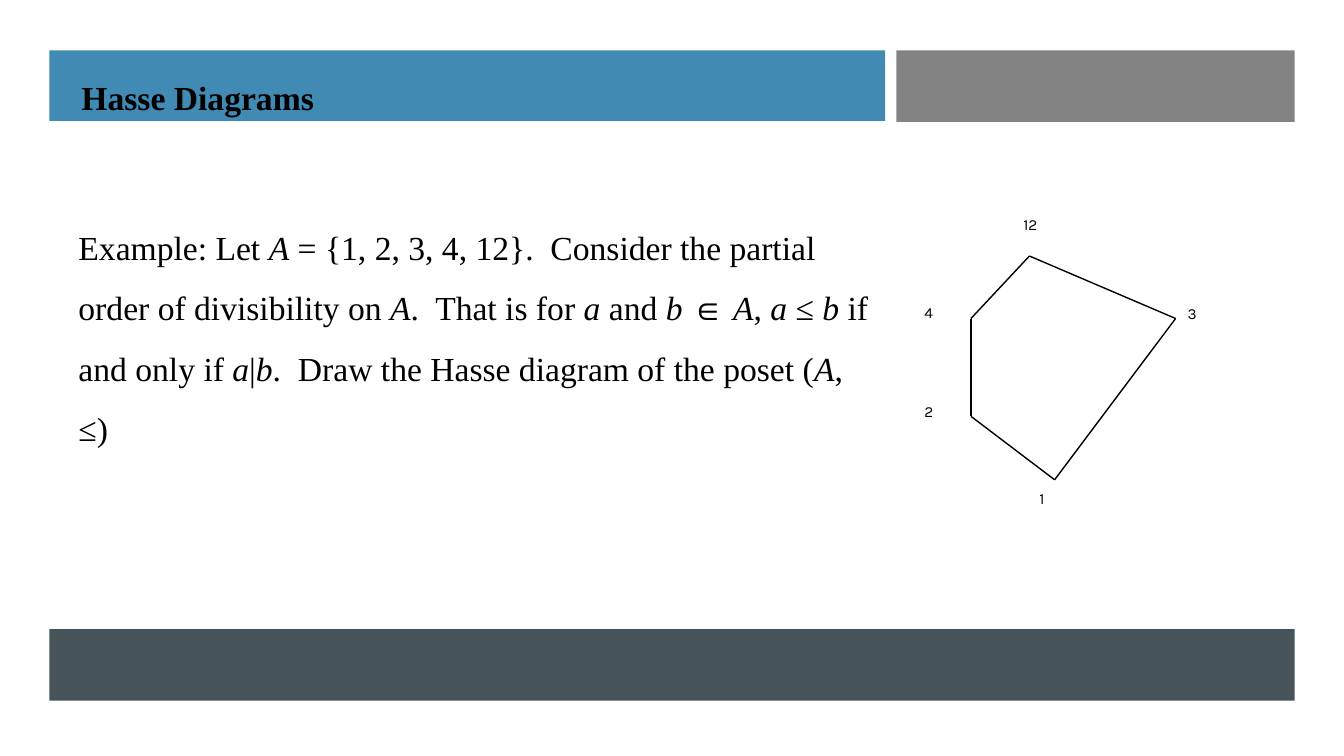
from pptx import Presentation
from pptx.dml.color import RGBColor
from pptx.enum.shapes import MSO_CONNECTOR, MSO_SHAPE
from pptx.enum.text import MSO_ANCHOR, MSO_AUTO_SIZE, PP_ALIGN
from pptx.oxml.ns import qn
from pptx.util import Emu, Pt
from lxml import etree

PX = 9144  # 100 px to the inch
BLACK = RGBColor(0x00, 0x00, 0x00)
WHITE = RGBColor(0xFF, 0xFF, 0xFF)
BLUE = RGBColor(0x41, 0x8A, 0xB3)
GRAY = RGBColor(0x83, 0x83, 0x83)
SLATE = RGBColor(0x46, 0x53, 0x59)
SERIF, SANS = "Times New Roman", "Karla"

# Content
TITLE = "Hasse Diagrams"
# Pieces alternate between upright and italic
EXAMPLE = [
    "Example: Let ", "A",
    " = {1, 2, 3, 4, 12}.  Consider the partial order of divisibility on ", "A",
    ".  That is for ", "a", " and ", "b ", "∈ ", "A", ", ", "a", " ≤ ", "b",
    " if and only if ", "a", "|", "b",
    ".  Draw the Hasse diagram of the poset (", "A", ", ≤)",
]
BANDS = [
    (BLUE, (49, 50, 829, 70)),
    (GRAY, (889, 50, 395, 71)),
    (SLATE, (49, 624, 1235, 71)),
]
VERTICES = {1: (1046, 476), 2: (963, 413), 3: (1166, 316), 4: (963, 316), 12: (1021, 254)}
COVERS = [(2, 1), (1, 3), (2, 4), (4, 12), (12, 3)]
LABELS = {
    1: (1021, 478, 54, 46),
    2: (907, 391, 54, 46),
    3: (1168, 294, 54, 46),
    4: (907, 293, 54, 46),
    12: (985, 206, 74, 47),
}


def px(*lengths):
    return [Emu(length * PX) for length in lengths]


def set_font(paragraph, name, size, bold=False):
    font = paragraph.font
    font.name, font.size, font.bold = name, Pt(size), bold
    font.color.rgb = BLACK


def add_block(box, fill):
    block = slide.shapes.add_shape(MSO_SHAPE.RECTANGLE, *px(*box))
    block.shadow.inherit = False
    block.fill.solid()
    block.fill.fore_color.rgb = fill
    block.line.fill.background()
    return block


def add_text(box, wrap):
    frame = slide.shapes.add_textbox(*px(*box)).text_frame
    frame.word_wrap = wrap
    frame.auto_size = MSO_AUTO_SIZE.SHAPE_TO_FIT_TEXT
    return frame.paragraphs[0]


prs = Presentation()
prs.slide_width, prs.slide_height = px(1333, 750)
slide = prs.slides.add_slide(prs.slide_layouts[6])

# Colour bands and title
for fill, box in BANDS:
    add_block(box, fill)
title = add_text((71, 71, 253, 50), wrap=False)
title.text = TITLE
set_font(title, SERIF, 24, bold=True)

# Diagram edges
for start, end in COVERS:
    edge = slide.shapes.add_connector(
        MSO_CONNECTOR.STRAIGHT, *px(*VERTICES[start], *VERTICES[end]))
    edge.line.color.rgb = BLACK
    edge.line.width = Pt(1)
    etree.SubElement(edge._element.spPr, qn("a:effectLst"))

# Diagram labels
for number, box in LABELS.items():
    frame = add_block(box, WHITE).text_frame
    frame.vertical_anchor = MSO_ANCHOR.TOP
    label = frame.paragraphs[0]
    label.text = str(number)
    label.alignment = PP_ALIGN.CENTER if number == 12 else PP_ALIGN.LEFT
    label.line_spacing = 1.15
    label.space_after = Pt(10)
    set_font(label, SANS, 11)

# Example text
example = add_text((68, 200, 804, 245), wrap=True)
example.line_spacing = 1.5
set_font(example, SERIF, 24)
for index, piece in enumerate(EXAMPLE):
    run = example.add_run()
    run.text = piece
    run.font.italic = index % 2 == 1

prs.save("out.pptx")
